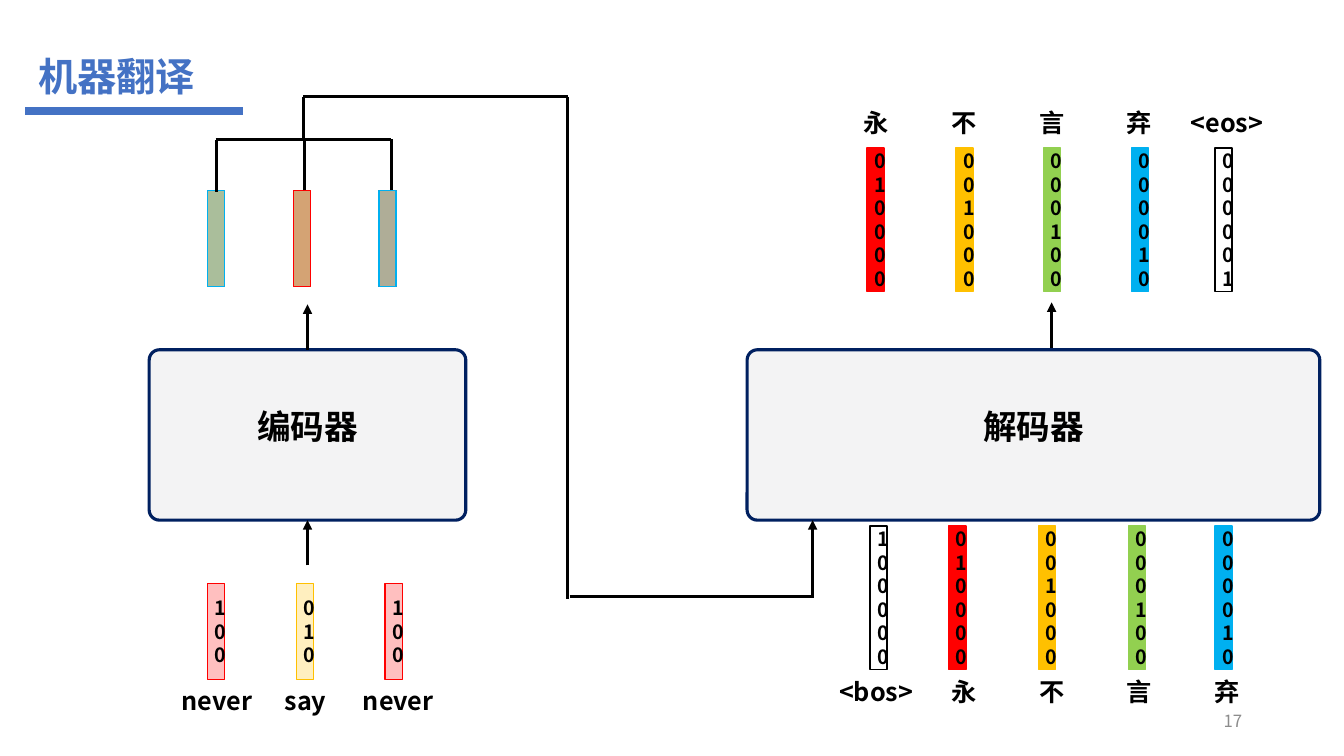
"""Build the machine translation slide: an encoder feeding a decoder."""
from pptx import Presentation
from pptx.dml.color import RGBColor
from pptx.enum.shapes import MSO_CONNECTOR as LINK, MSO_SHAPE as SHAPE
from pptx.enum.text import MSO_ANCHOR as ANCHOR, MSO_AUTO_SIZE as FIT, PP_ALIGN as ALIGN
from pptx.oxml.ns import qn
from pptx.util import Inches, Pt
from lxml.etree import SubElement as Sub


class Theme:
    font = "Noto Sans CJK SC"
    blue, navy, pale = "4472C4", "002060", "F3F3F4"
    black, gray = "000000", "8C8C8C"
    red, gold, green, sky = "FF0000", "FFC000", "92D050", "00B0F0"
    title, block, label, digit, page = 28, 24, 18, 14, 12
    stroke, thin, rule = 2.25, 1, 6


def write(frame, lines, size, hue=Theme.black, align=ALIGN.CENTER, bold=True):
    frame.word_wrap = True
    for i, line in enumerate(lines):
        para = frame.paragraphs[0] if i == 0 else frame.add_paragraph()
        para.alignment = align
        run = para.add_run()
        run.text = line
        font = run.font
        font.name, font.size, font.bold = Theme.font, Pt(size), bold
        font.color.rgb = RGBColor.from_string(hue)
        Sub(font._element, qn("a:ea"), typeface=Theme.font)


def draw(kind, box, fill, edge, width, alpha=None):
    shape = slide.shapes.add_shape(kind, *map(Inches, box))
    shape.shadow.inherit = False
    shape.line.color.rgb = RGBColor.from_string(edge)
    shape.line.width = Pt(width)
    if fill:
        shape.fill.solid()
        shape.fill.fore_color.rgb = RGBColor.from_string(fill)
    else:
        shape.fill.background()
    if alpha:
        tint = shape.fill._xPr.find(qn("a:solidFill"))[0]
        Sub(tint, qn("a:alpha"), val=str(alpha * 1000))
    shape.text_frame.vertical_anchor = ANCHOR.MIDDLE
    return shape


deck = Presentation()
deck.slide_width, deck.slide_height = Inches(13.33), Inches(7.5)
slide = deck.slides.add_slide(deck.slide_layouts[5])

title = slide.shapes.title
title.left, title.top, title.width, title.height = map(Inches, (0.28, 0.47, 4.79, 0.57))
title.text_frame.auto_size = FIT.NONE
title.text_frame.vertical_anchor = ANCHOR.MIDDLE
write(title.text_frame, ["机器翻译"], Theme.title, Theme.blue, ALIGN.LEFT)

page = slide.shapes.add_textbox(*map(Inches, (9.42, 6.95, 3, 0.4)))
page.text_frame.vertical_anchor = ANCHOR.MIDDLE
write(page.text_frame, ["17"], Theme.page, Theme.gray, ALIGN.RIGHT, False)

for name, left, width in [("编码器", 1.48, 3.14), ("解码器", 7.41, 5.68)]:
    block = draw(SHAPE.ROUNDED_RECTANGLE, (left, 3.47, width, 1.69),
                 Theme.pale, Theme.navy, Theme.stroke)
    block.adjustments[0] = 0.06
    write(block.text_frame, [name], Theme.block)
    block.text_frame.paragraphs[0].line_spacing = Pt(16)

stacks = [
    (2.06, [Theme.red, Theme.gold, Theme.green, Theme.sky]),
    (2.91, [Theme.sky, Theme.green, Theme.gold, Theme.red]),
    (3.76, [Theme.gold, Theme.green, Theme.red, Theme.sky]),
]
for left, hues in stacks:
    for hue in hues:
        draw(SHAPE.RECTANGLE, (left, 1.89, 0.17, 0.95), hue, hue, Theme.thin, 25)

lines = [
    (2.15, 1.9, 2.15, 1.39), (3.02, 1.89, 3.02, 1.38), (3.88, 1.89, 3.88, 1.38),
    (2.14, 1.38, 3.88, 1.38), (3.01, 0.96, 3.01, 1.38), (3.01, 0.96, 5.63, 0.96),
    (5.63, 0.96, 5.63, 5.94), (5.65, 5.92, 8.07, 5.92),
]
arrows = [
    (3.05, 5.61, 3.05, 5.16), (3.05, 3.47, 3.05, 3.02),
    (8.06, 5.92, 8.06, 5.16), (10.43, 3.45, 10.43, 3),
]
rule = (0.25, 1.1, 2.41, 1.1)
for ends in lines + arrows + [rule]:
    link = slide.shapes.add_connector(LINK.STRAIGHT, *map(Inches, ends))
    hue, width = (Theme.blue, Theme.rule) if ends == rule else (Theme.black, Theme.stroke)
    link.line.color.rgb = RGBColor.from_string(hue)
    link.line.width = Pt(width)
    if ends in arrows:
        Sub(link.line._get_or_add_ln(), qn("a:tailEnd"), type="triangle")
    Sub(link._element.spPr, qn("a:effectLst"))

labels = []
inputs = [
    ("never", 2.06, 2.15, Theme.red, ["1", "0", "0"]),
    ("say", 2.94, 3.03, Theme.gold, ["0", "1", "0"]),
    ("never", 3.82, 3.95, Theme.red, ["10", "0"]),
]
for word, left, mid, hue, digits in inputs:
    bar = draw(SHAPE.RECTANGLE, (left, 5.79, 0.17, 0.95), hue, hue, Theme.thin, 25)
    write(bar.text_frame, digits, Theme.digit)
    labels.append((word, mid, 6.75))

words = [("永", Theme.red), ("不", Theme.gold), ("言", Theme.green), ("弃", Theme.sky)]
rows = [
    (1.47, 1.02, [8.6, 9.48, 10.35, 11.22, 12.05], words + [("<eos>", None)], 1),
    (5.22, 6.66, [8.63, 9.41, 10.3, 11.19, 12.05], [("<bos>", None)] + words, 0),
]
for top, base, lefts, tokens, first in rows:
    for i, (left, (word, hue)) in enumerate(zip(lefts, tokens)):
        bar = draw(SHAPE.RECTANGLE, (left, top, 0.17, 1.42),
                   hue, hue or Theme.black, Theme.thin)
        digits = ["1" if n == i + first else "0" for n in range(6)]
        write(bar.text_frame, digits, Theme.digit)
        labels.append((word, 8.69 + 0.87 * i, base))

for word, mid, top in labels:
    note = slide.shapes.add_textbox(*map(Inches, (mid - 0.46, top, 0.92, 0.4)))
    note.text_frame.margin_left = note.text_frame.margin_right = 0
    write(note.text_frame, [word], Theme.label)

deck.save("out.pptx")
